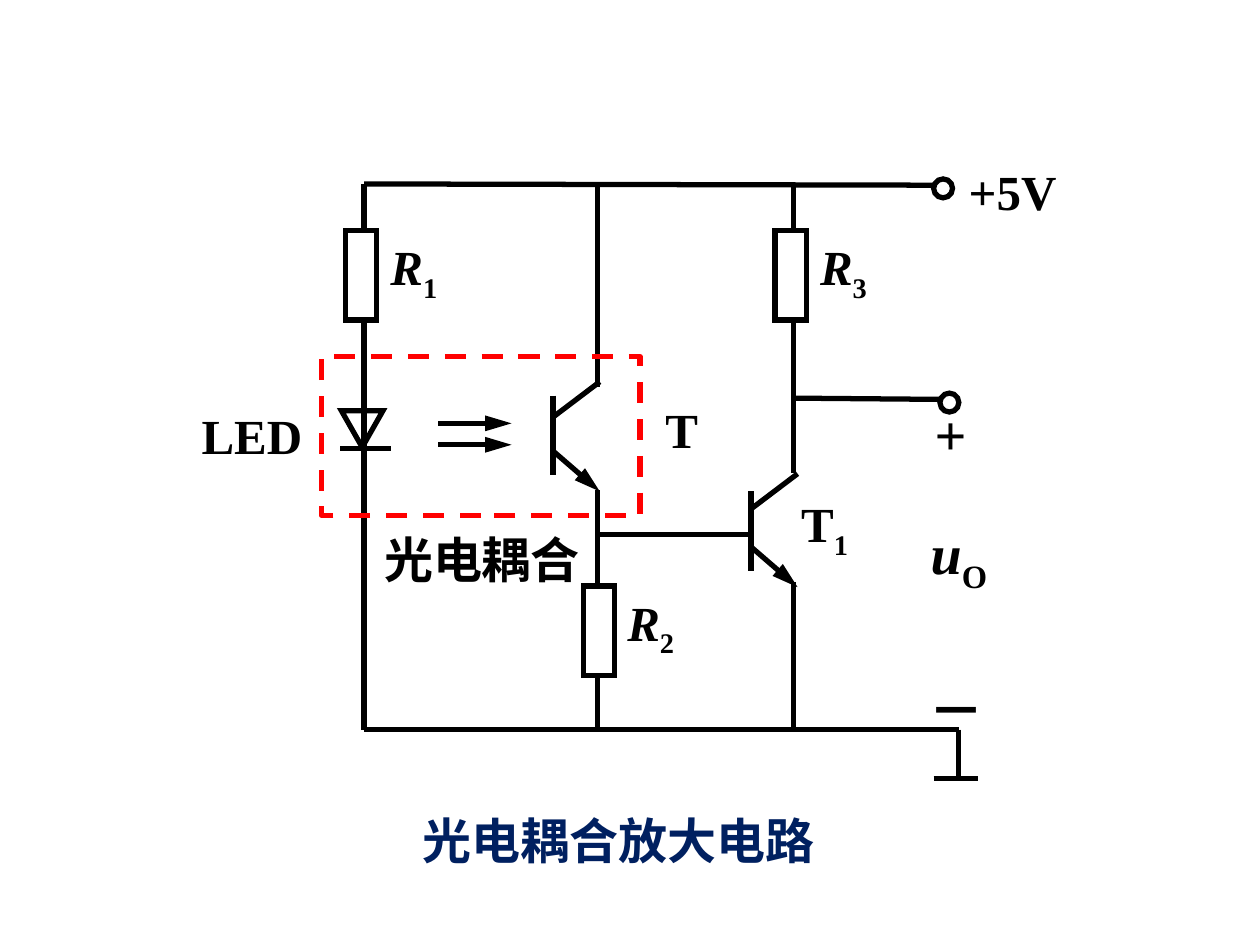
"""Build the slide of an optocoupler amplifier circuit."""
import pptx
import pptx.util
import pptx.dml.color
import pptx.enum.dml
import pptx.enum.shapes
import pptx.enum.text
import pptx.oxml
import pptx.oxml.ns

Inches, Pt = pptx.util.Inches, pptx.util.Pt
Shape = pptx.enum.shapes.MSO_SHAPE
Anchor = pptx.enum.text.MSO_ANCHOR
Align = pptx.enum.text.PP_ALIGN

THEME = {
    "font": "Times New Roman",
    "ink": "000000", "paper": "FFFFFF", "frame": "FF0000", "title": "002060",
    "size": 28, "large": 32, "line": 3,
}

LEFT, MID, RIGHT, END = 2.89, 4.74, 6.3, 7.61
TOP, BASE, EARTH = 1.46, 5.79, 6.18

WIRES = [
    (LEFT, TOP, 7.41, 1.47),
    (LEFT, BASE, END, BASE),
    (LEFT, BASE, LEFT, TOP),
    (MID, 3.07, MID, TOP),
    (MID, 3.89, MID, BASE),
    (MID, 4.24, 5.96, 4.24),
    (RIGHT, 3.75, RIGHT, TOP),
    (RIGHT, 4.62, RIGHT, BASE),
    (RIGHT, 3.16, 7.46, 3.17),
    (END, BASE, END, EARTH),
    (7.41, EARTH, 7.76, EARTH),
    (2.7, 3.56, 3.1, 3.56),
]
LIGHT = [3.36, 3.53]
TRANSISTORS = [(4.39, 3.14, 0.17), (5.96, 3.9, 0.14)]
RESISTORS = [(2.74, 1.83), (4.63, 4.65), (6.15, 1.83)]
TERMINALS = [(7.41, 1.42), (7.46, 3.12)]
DIODE = (2.71, 3.26, 0.33, 0.29)
COUPLER = (2.55, 2.83, 2.53, 1.26)

LABELS = [
    ("R", (3, 1.83, 0.57, 0.63), {"sub": "1", "italic": True}),
    ("R", (4.88, 4.65, 0.57, 0.63), {"sub": "2", "italic": True}),
    ("R", (6.41, 1.83, 0.57, 0.63), {"sub": "3", "italic": True}),
    ("T", (5.18, 3.12, 0.46, 0.57), {}),
    ("T", (6.26, 3.87, 0.57, 0.63), {"sub": "1"}),
    ("LED", (1.5, 3.17, 1, 0.57), {}),
    ("光电耦合", (2.95, 4.15, 1.75, 0.57), {}),
    ("+5V", (7.59, 1.23, 0.93, 0.57), {"align": Align.LEFT}),
    ("+", (7.32, 3.12, 0.45, 0.64),
     {"size": "large", "align": Align.LEFT, "anchor": Anchor.TOP}),
    ("u", (7.27, 4.06, 0.68, 0.71),
     {"sub": "O", "size": "large", "italic": True}),
    ("－", (7.27, 5.31, 0.64, 0.64),
     {"size": "large", "align": Align.LEFT, "anchor": Anchor.TOP}),
    ("光电耦合放大电路", (3.23, 6.38, 3.36, 0.57), {"color": "title"}),
]


def tint(name):
    """Return a theme colour."""
    return pptx.dml.color.RGBColor.from_string(THEME[name])


def node(tag, **attrs):
    """Make a drawing element."""
    item = pptx.oxml.parse_xml(f'<a:{tag} {pptx.oxml.ns.nsdecls("a")}/>')
    for key, value in attrs.items():
        item.set(key, value)
    return item


def pen(shape, color, *extras):
    """Set the outline of a shape or wire."""
    shape.line.color.rgb = tint(color)
    shape.line.width = Pt(THEME["line"])
    outline = shape.element.spPr.find(pptx.oxml.ns.qn("a:ln"))
    for item in extras:
        outline.append(item)


def wire(slide, x1, y1, x2, y2, arrow=False):
    """Draw one straight conductor or arrow."""
    line = slide.shapes.add_connector(
        pptx.enum.shapes.MSO_CONNECTOR.STRAIGHT,
        *map(Inches, (x1, y1, x2, y2)))
    tails = [node("tailEnd", type="triangle", w="med", len="lg")]
    pen(line, "ink", *(tails if arrow else []))
    line.element.spPr.append(node("effectLst"))


def part(slide, kind, box, fill=None, color="ink", sharp=True):
    """Draw one outlined component."""
    shape = slide.shapes.add_shape(kind, *map(Inches, box))
    shape.shadow.inherit = False
    if fill:
        shape.fill.solid()
        shape.fill.fore_color.rgb = tint(fill)
    else:
        shape.fill.background()
    pen(shape, color, *([node("miter", lim="800000")] if sharp else []))
    return shape


def gate(slide, x, y, drop):
    """Draw a transistor from the top of its base bar."""
    wire(slide, x, y, x, y + 0.63)
    wire(slide, x, y + 0.44, x + 0.37, y + 0.76, arrow=True)
    wire(slide, x, y + drop, x + 0.37, y + drop - 0.28)


def label(slide, text, box, sub="", size="size", color="ink", italic=False,
          align=Align.CENTER, anchor=Anchor.MIDDLE):
    """Write a label with an optional subscript."""
    frame = slide.shapes.add_textbox(*map(Inches, box)).text_frame
    frame.word_wrap = False
    frame.auto_size = pptx.enum.text.MSO_AUTO_SIZE.SHAPE_TO_FIT_TEXT
    frame.vertical_anchor = anchor
    para = frame.paragraphs[0]
    para.alignment = align
    runs = [(text, italic, None), (sub, False, "-25000")]
    for words, slant, shift in runs:
        if not words:
            continue
        run = para.add_run()
        run.text = words
        font = run.font
        font.name, font.size = THEME["font"], Pt(THEME[size])
        font.bold, font.italic = True, slant
        font.color.rgb = tint(color)
        if shift:
            font._element.set("baseline", shift)


def main():
    """Lay out the circuit and save it."""
    deck = pptx.Presentation()
    deck.slide_width, deck.slide_height = Inches(10), Inches(7.5)
    slide = deck.slides.add_slide(deck.slide_layouts[6])
    for ends in WIRES:
        wire(slide, *ends)
    for y in LIGHT:
        wire(slide, 3.48, y, 4.06, y, arrow=True)
    for spot in TRANSISTORS:
        gate(slide, *spot)
    for x, y in RESISTORS:
        part(slide, Shape.RECTANGLE, (x, y, 0.25, 0.71), fill="paper")
    for x, y in TERMINALS:
        part(slide, Shape.OVAL, (x, y, 0.15, 0.15))
    diode = part(slide, Shape.ISOSCELES_TRIANGLE, DIODE)
    diode.element.spPr.find(pptx.oxml.ns.qn("a:xfrm")).set("flipV", "1")
    frame = part(slide, Shape.RECTANGLE, COUPLER, color="frame", sharp=False)
    frame.line.dash_style = pptx.enum.dml.MSO_LINE.DASH
    for text, box, style in LABELS:
        label(slide, text, box, **style)
    deck.save("out.pptx")


if __name__ == "__main__":
    main()
